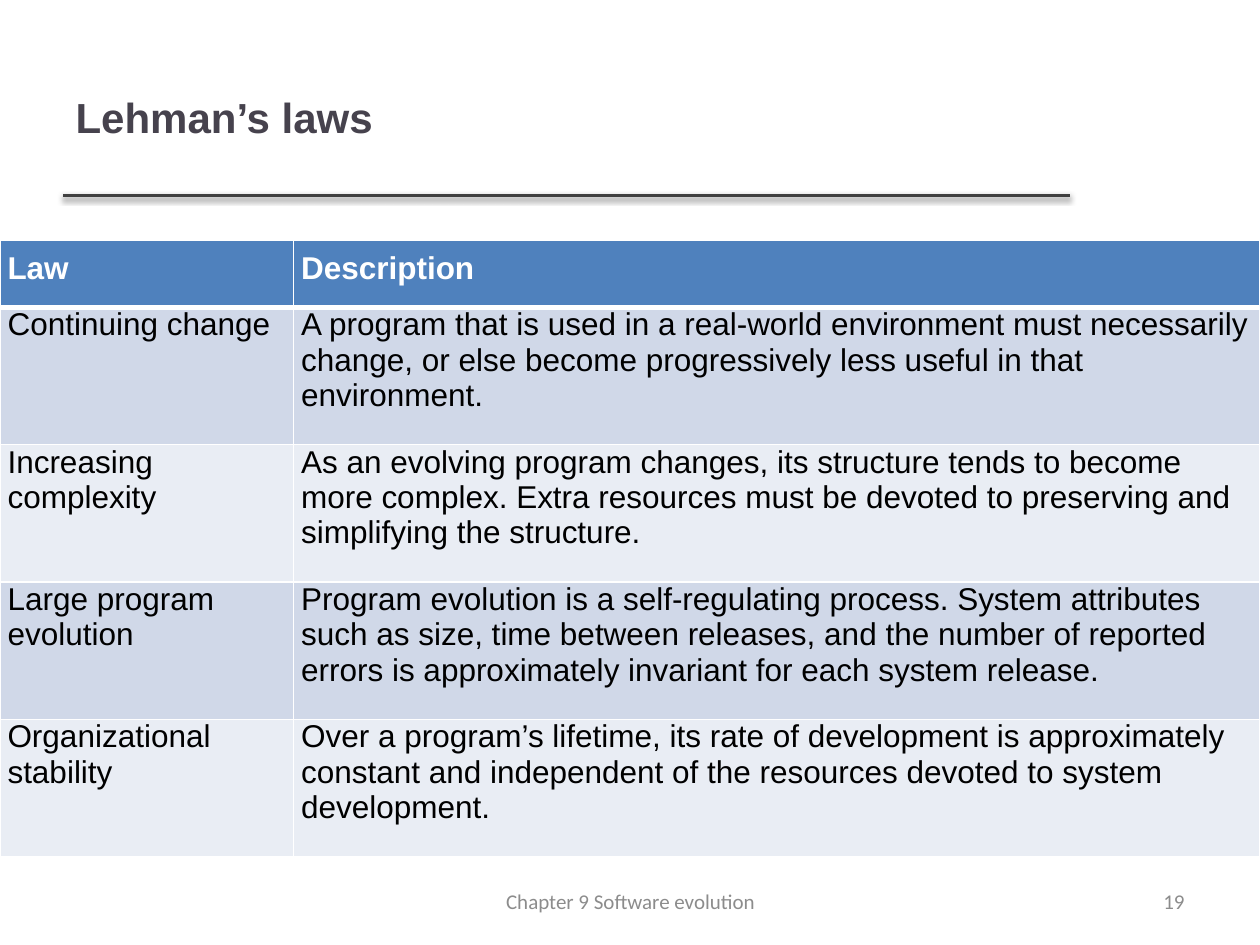
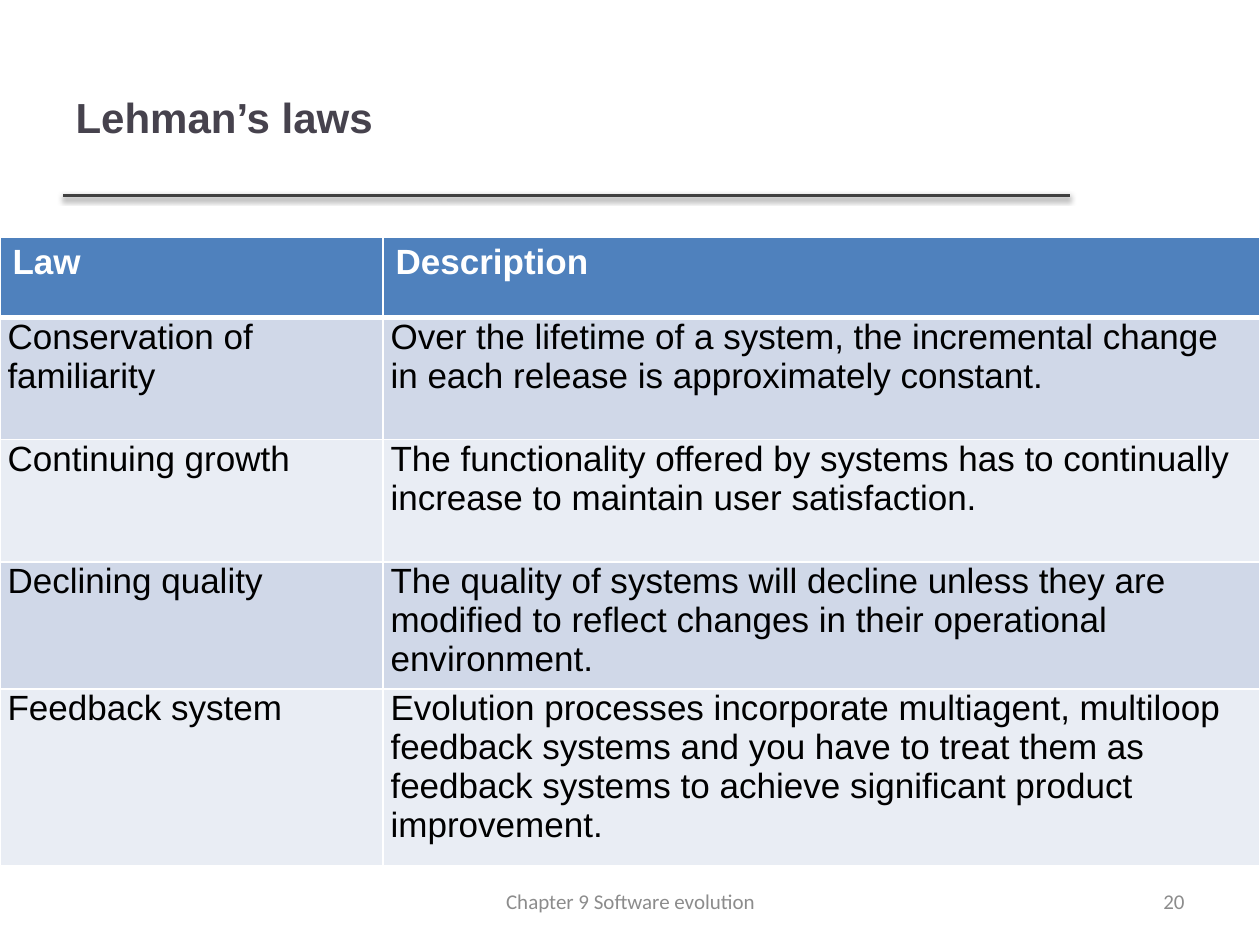
from pptx import Presentation
from pptx.dml.color import RGBColor
from pptx.enum.shapes import MSO_CONNECTOR
from pptx.enum.text import MSO_ANCHOR, MSO_AUTO_SIZE, PP_ALIGN
from pptx.oxml import parse_xml
from pptx.oxml.ns import nsdecls
from pptx.util import Pt

# Scale: 100 px to the inch
PX = 9144
WIDTH, HEIGHT = 1000, 750

# Colours
WHITE = RGBColor(0xFF, 0xFF, 0xFF)
BLACK = RGBColor(0x00, 0x00, 0x00)
INK = RGBColor(0x46, 0x42, 0x4D)
RULE = RGBColor(0x40, 0x40, 0x40)
GREY = RGBColor(0x8C, 0x8C, 0x8C)
HEAD = RGBColor(0x4F, 0x81, 0xBD)
BANDS = [RGBColor(0xE9, 0xED, 0xF4), RGBColor(0xD0, 0xD8, 0xE8)]

# Cell insets: left, top, right, bottom
WIDE = (10, 5, 10, 5)
TIGHT = (6, 8, 6, 8)
BODY = (6, 0, 6, 8)

SHADOW = f"""<a:effectLst {nsdecls('a')}>
  <a:outerShdw blurRad="{Pt(3.1)}" dist="{Pt(1.6)}" dir="5400000" rotWithShape="0">
    <a:srgbClr val="{BLACK}"><a:alpha val="38000"/></a:srgbClr>
  </a:outerShdw>
</a:effectLst>"""


def px(*sizes):
    return [size * PX for size in sizes]


def apply(item, values):
    for name, value in values.items():
        setattr(item, name, value)


class Deck:
    title_font = {"name": "Arial", "size": Pt(24), "bold": True}
    foot_font = {"name": "Calibri", "size": Pt(12)}

    def __init__(self):
        self.deck = Presentation()
        self.deck.slide_width, self.deck.slide_height = px(WIDTH, HEIGHT)
        self.slide = None

    def label(self, frame, text, font, color, align=PP_ALIGN.LEFT, after=0):
        para = frame.paragraphs[0]
        apply(para, {"alignment": align, "space_after": Pt(after)})
        run = para.add_run()
        run.text = text
        apply(run.font, font)
        run.font.color.rgb = color

    def place(self, shape, box):
        apply(shape, dict(zip(("left", "top", "width", "height"), px(*box))))
        apply(shape.text_frame, {"word_wrap": True, "auto_size": MSO_AUTO_SIZE.NONE,
                                 "vertical_anchor": MSO_ANCHOR.MIDDLE})

    def rule(self, start, end, y):
        line = self.slide.shapes.add_connector(
            MSO_CONNECTOR.STRAIGHT, *px(start, y, end, y))
        line.line.color.rgb = RULE
        line.line.width = Pt(2)
        line._element.spPr.append(parse_xml(SHADOW))

    def title(self, text):
        shape = self.slide.shapes.title
        self.place(shape, (50, 30, 798, 125))
        self.label(shape.text_frame, text, self.title_font, INK)

    def note(self, text, box, align):
        shape = self.slide.shapes.add_textbox(*px(*box))
        self.place(shape, box)
        self.label(shape.text_frame, text, self.foot_font, GREY, align)

    def page(self, title, number):
        self.slide = self.deck.slides.add_slide(self.deck.slide_layouts[5])
        self.rule(50, 849, 155)
        self.title(title)
        self.note(str(number), (717, 695, 233, 40), PP_ALIGN.RIGHT)
        self.note("Chapter 9 Software evolution", (342, 695, 317, 40), PP_ALIGN.CENTER)

    def border(self, cell, sides):
        props = cell._tc.get_or_add_tcPr()
        for side, width in sides.items():
            props.append(parse_xml(
                f'<a:ln{side} {nsdecls("a")} w="{Pt(width)}"><a:solidFill>'
                f'<a:srgbClr val="{WHITE}"/></a:solidFill></a:ln{side}>'))

    def cell(self, cell, text, row, size, inset, after):
        head = row == 0
        sides = {"L": 1, "R": 1, "T": 1, "B": 3} if head else {"L": 1, "R": 1, "B": 1}
        self.border(cell, sides)
        cell.fill.solid()
        cell.fill.fore_color.rgb = HEAD if head else BANDS[row % 2]
        names = ("margin_left", "margin_top", "margin_right", "margin_bottom")
        apply(cell, dict(zip(names, px(*(inset if head else BODY)))))
        font = {"name": "Arial", "size": Pt(size), "bold": head}
        self.label(cell.text_frame, text, font, WHITE if head else BLACK,
                   after=after if head else 6)

    def table(self, top, cols, heights, laws, size, inset, after):
        data = [("Law", "Description"), *laws]
        frame = self.slide.shapes.add_table(
            len(data), len(cols), *px(0, top, sum(cols), sum(heights)))
        grid = frame.table
        for col, width in zip(grid.columns, cols):
            col.width = width * PX
        for row, height in zip(grid.rows, heights):
            row.height = height * PX
        for r, texts in enumerate(data):
            for c, text in enumerate(texts):
                self.cell(grid.cell(r, c), text, r, size, inset, after)


FIRST = [
    ("Continuing change",
     "A program that is used in a real-world environment must necessarily change, "
     "or else become progressively less useful in that environment."),
    ("Increasing complexity",
     "As an evolving program changes, its structure tends to become more complex. "
     "Extra resources must be devoted to preserving and simplifying the structure."),
    ("Large program evolution",
     "Program evolution is a self-regulating process. System attributes such as size, "
     "time between releases, and the number of reported errors is approximately "
     "invariant for each system release."),
    ("Organizational stability",
     "Over a program’s lifetime, its rate of development is approximately constant "
     "and independent of the resources devoted to system development."),
]
SECOND = [
    ("Conservation of familiarity",
     "Over the lifetime of a system, the incremental change in each release is "
     "approximately constant."),
    ("Continuing growth",
     "The functionality offered by systems has to continually increase to maintain "
     "user satisfaction."),
    ("Declining quality",
     "The quality of systems will decline unless they are modified to reflect changes "
     "in their operational environment."),
    ("Feedback system",
     "Evolution processes incorporate multiagent, multiloop feedback systems and you "
     "have to treat them as feedback systems to achieve significant product "
     "improvement."),
]


def main():
    deck = Deck()

    # Laws one to four
    deck.page("Lehman’s laws", 19)
    deck.table(191, (233, 767), (53, *[109] * 4), FIRST, 18, TIGHT, 6)

    # Laws five to eight
    deck.page("Lehman’s laws", 20)
    deck.table(188, (304, 696), (64, *[97] * 3, 140), SECOND, 20, WIDE, 0)

    deck.deck.save("out.pptx")


if __name__ == "__main__":
    main()
